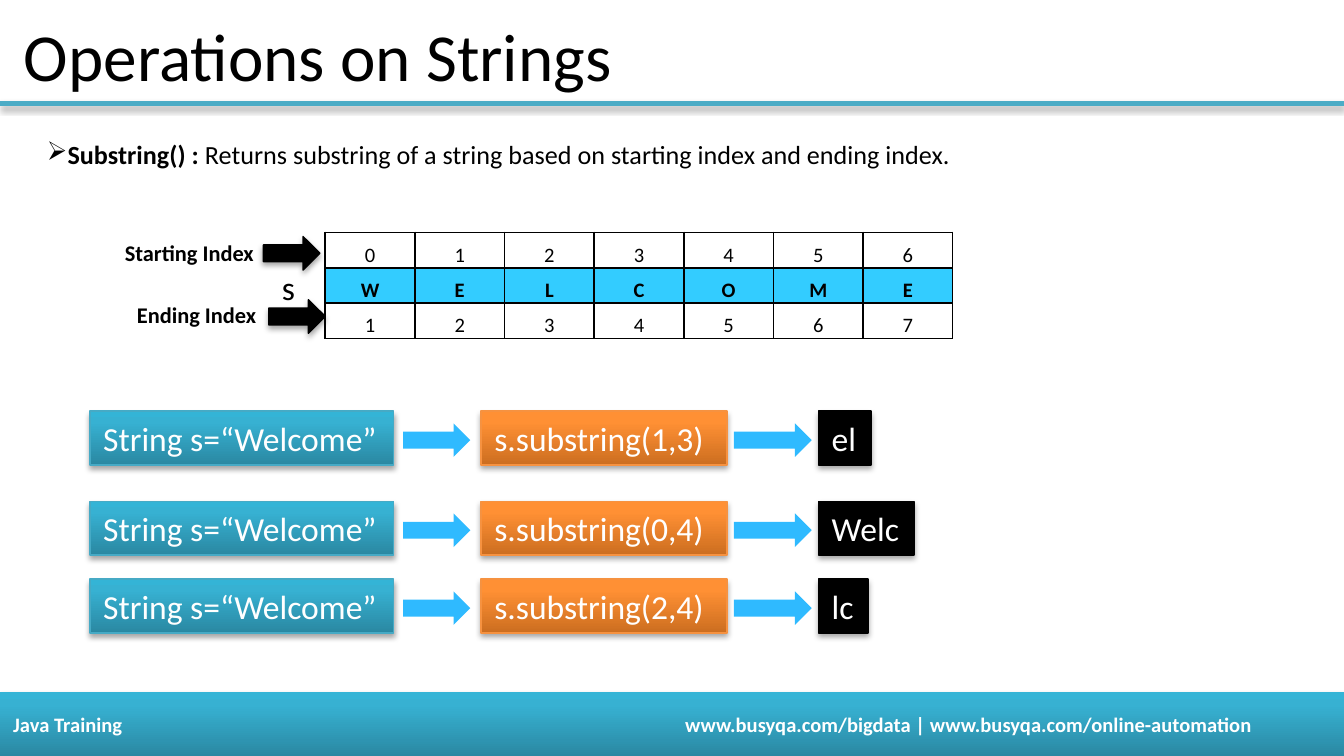
from lxml.etree import SubElement
from pptx import Presentation
from pptx.dml.color import RGBColor
from pptx.enum.shapes import MSO_CONNECTOR, MSO_SHAPE
from pptx.enum.text import MSO_ANCHOR, MSO_AUTO_SIZE, PP_ALIGN
from pptx.oxml.ns import qn
from pptx.util import Inches, Pt

BLACK = RGBColor(0x00, 0x00, 0x00)
WHITE = RGBColor(0xFF, 0xFF, 0xFF)
RULE_TEAL = RGBColor(0x4B, 0xAC, 0xC6)
TEAL_EDGE = RGBColor(0x46, 0xAA, 0xC5)
ORANGE_EDGE = RGBColor(0xF6, 0x92, 0x40)
CELL_BLUE = RGBColor(0x33, 0xCC, 0xFF)
ARROW_BLUE = RGBColor(0x2F, 0xBA, 0xFF)
TEAL_STOPS = (
    (0, RGBColor(0x2A, 0x88, 0xA2)),
    (80, RGBColor(0x37, 0xB1, 0xD2)),
    (100, RGBColor(0x34, 0xB4, 0xD6)),
)
ORANGE_STOPS = (
    (0, RGBColor(0xCC, 0x6E, 0x20)),
    (80, RGBColor(0xFF, 0x90, 0x34)),
    (100, RGBColor(0xFF, 0x91, 0x36)),
)


def set_attributes(target, values):
    """Set each named value on the target."""
    for name, value in values.items():
        setattr(target, name, value)


def add_color(parent, color):
    """Append an RGB colour element and return it."""
    return SubElement(parent, qn("a:srgbClr"), val=str(color))


def add_shadow(shape):
    """Append a soft shadow falling straight down."""
    effects = SubElement(shape._element.spPr, qn("a:effectLst"))
    shadow = SubElement(effects, qn("a:outerShdw"), blurRad=str(Pt(3.1)),
                        dist=str(Pt(1.8)), dir="5400000", rotWithShape="0")
    SubElement(add_color(shadow, BLACK), qn("a:alpha"), val="35000")


def fill_gradient(shape, stops):
    """Fill a shape with colour stops running from bottom to top."""
    shape.fill.gradient()
    shape.fill.gradient_angle = 90
    stop_list = shape._element.spPr.find(".//" + qn("a:gsLst"))
    stop_list.clear()
    for position, color in stops:
        add_color(SubElement(stop_list, qn("a:gs"), pos=str(position * 1000)), color)


def add_run(paragraph, text, size, color=BLACK, bold=False):
    """Add a formatted run to a paragraph."""
    run = paragraph.add_run()
    run.text = text
    set_attributes(run.font, {"name": "Calibri", "size": Pt(size), "bold": bold})
    run.font.color.rgb = color


def add_label(slide, box, text, size, bold=False):
    """Add a one-line text box."""
    frame = slide.shapes.add_textbox(*map(Inches, box)).text_frame
    set_attributes(frame, {"word_wrap": False,
                           "auto_size": MSO_AUTO_SIZE.SHAPE_TO_FIT_TEXT})
    add_run(frame.paragraphs[0], text, size, bold=bold)


def add_block(slide, kind, box, fill, edge=None, shadow=True):
    """Add a preset shape with a plain or gradient fill."""
    shape = slide.shapes.add_shape(kind, *map(Inches, box))
    if isinstance(fill, RGBColor):
        shape.fill.solid()
        shape.fill.fore_color.rgb = fill
    else:
        fill_gradient(shape, fill)
    if edge is None:
        shape.line.fill.background()
    else:
        shape.line.color.rgb = edge
        shape.line.width = Pt(0.75)
    if shadow:
        add_shadow(shape)
    else:
        shape.shadow.inherit = False
    return shape


def add_code_box(slide, box, text, fill, edge, wrap=False):
    """Add a filled box holding a line of code."""
    frame = add_block(slide, MSO_SHAPE.RECTANGLE, box, fill, edge).text_frame
    set_attributes(frame, {"word_wrap": wrap, "vertical_anchor": MSO_ANCHOR.TOP,
                           "auto_size": MSO_AUTO_SIZE.SHAPE_TO_FIT_TEXT})
    frame.paragraphs[0].alignment = PP_ALIGN.LEFT
    add_run(frame.paragraphs[0], text, 18, WHITE)


def add_header(slide, box):
    """Add the title and the rule below it."""
    left, top, width, height = box
    bottom = top + height
    rule = slide.shapes.add_connector(
        MSO_CONNECTOR.STRAIGHT, *map(Inches, (left, bottom, left + width, bottom)))
    rule.line.color.rgb = RULE_TEAL
    rule.line.width = Pt(3)
    add_shadow(rule)
    add_label(slide, (left + 0.08, top + 0.06, 4.62, 0.71), "Operations on Strings", 36)


def add_footer(slide, box):
    """Add the footer band with the course name and addresses."""
    band = add_block(slide, MSO_SHAPE.RECTANGLE, box, TEAL_STOPS)
    band.text_frame.vertical_anchor = MSO_ANCHOR.MIDDLE
    paragraph = band.text_frame.paragraphs[0]
    paragraph.alignment = PP_ALIGN.LEFT
    tabs = SubElement(paragraph._p.get_or_add_pPr(), qn("a:tabLst"))
    SubElement(tabs, qn("a:tab"), pos=str(Inches(5)), algn="l")
    add_run(paragraph, "Java Training\twww.busyqa.com/bigdata | "
            "www.busyqa.com/online-automation", 11, WHITE, True)


def add_definition(slide, box):
    """Add the bulleted definition of the method."""
    frame = slide.shapes.add_textbox(*map(Inches, box)).text_frame
    set_attributes(frame, {"word_wrap": True,
                           "auto_size": MSO_AUTO_SIZE.SHAPE_TO_FIT_TEXT})
    paragraph = frame.paragraphs[0]
    SubElement(paragraph._p.get_or_add_pPr(), qn("a:buChar"), char="➢")
    add_run(paragraph, "Substring() : ", 14, bold=True)
    add_run(paragraph, "Returns substring of a string based on starting index "
            "and ending index.", 14)


def format_cell(cell, text, highlighted):
    """Give an index table cell its borders, fill and text."""
    set_attributes(cell, {
        "margin_left": Inches(0.01), "margin_right": Inches(0.01),
        "margin_top": Inches(0.01), "margin_bottom": 0,
        "vertical_anchor": MSO_ANCHOR.BOTTOM})
    for side in ("lnL", "lnR", "lnT", "lnB"):
        border = SubElement(cell._tc.get_or_add_tcPr(), qn("a:" + side), w=str(Pt(1)))
        add_color(SubElement(border, qn("a:solidFill")), BLACK)
    if highlighted:
        cell.fill.solid()
        cell.fill.fore_color.rgb = CELL_BLUE
    else:
        cell.fill.background()
    paragraph = cell.text_frame.paragraphs[0]
    paragraph.alignment = PP_ALIGN.CENTER
    add_run(paragraph, text, 11, bold=highlighted)


def add_index_table(slide, box):
    """Add the letters with their starting and ending indexes."""
    rows = ("0123456", "WELCOME", "1234567")
    table = slide.shapes.add_table(len(rows), 7, *map(Inches, box)).table
    set_attributes(table, {"first_row": False, "horz_banding": False})
    for row_index, letters in enumerate(rows):
        for column_index, letter in enumerate(letters):
            format_cell(table.cell(row_index, column_index), letter, row_index == 1)


def add_index_labels(slide, box):
    """Add the row labels and arrows pointing at the table."""
    left, top = box[:2]
    add_label(slide, (left + 1.17, top + 0.21, 0.3, 0.4), "s", 18)
    add_label(slide, (left, top, 1.18, 0.3), "Starting Index", 12, True)
    add_label(slide, (left + 0.09, top + 0.46, 1.11, 0.3), "Ending Index", 12, True)
    for x, y in ((1.13, 0.03), (1.17, 0.5)):
        add_block(slide, MSO_SHAPE.RIGHT_ARROW, (left + x, top + y, 0.42, 0.25),
                  BLACK, BLACK)


def add_example(slide, box, call, result, result_width):
    """Add one row leading from the string through the call to its result."""
    left, top, _, height = box
    add_code_box(slide, (left, top, 2.26, height), "String s=“Welcome”",
                 TEAL_STOPS, TEAL_EDGE)
    add_code_box(slide, (left + 2.91, top, 1.83, height), call,
                 ORANGE_STOPS, ORANGE_EDGE, wrap=True)
    add_code_box(slide, (left + 5.42, top, result_width, height), result, BLACK, BLACK)
    for x, width in ((2.33, 0.5), (4.79, 0.58)):
        add_block(slide, MSO_SHAPE.RIGHT_ARROW, (left + x, top + 0.09, width, 0.25),
                  ARROW_BLUE, shadow=False)


def main():
    """Build and save the slide."""
    presentation = Presentation()
    set_attributes(presentation, {"slide_width": Inches(10),
                                  "slide_height": Inches(10) * 9 // 16})
    slide = presentation.slides.add_slide(presentation.slide_layouts[6])
    add_header(slide, (0, 0, 10, 0.77))
    add_footer(slide, (0, 5.15, 10, 0.48))
    add_definition(slide, (0.25, 0.98, 8.58, 0.34))
    add_index_table(slide, (2.42, 1.73, 4.67, 0.79))
    add_index_labels(slide, (0.83, 1.73, 1.59, 0.79))
    examples = ((3.06, "s.substring(1,3)", "el", 0.39),
                (3.73, "s.substring(0,4)", "Welc", 0.71),
                (4.31, "s.substring(2,4)", "lc", 0.37))
    for top, call, result, result_width in examples:
        add_example(slide, (0.67, top, 6.13, 0.4), call, result, result_width)
    presentation.save("out.pptx")


if __name__ == "__main__":
    main()
